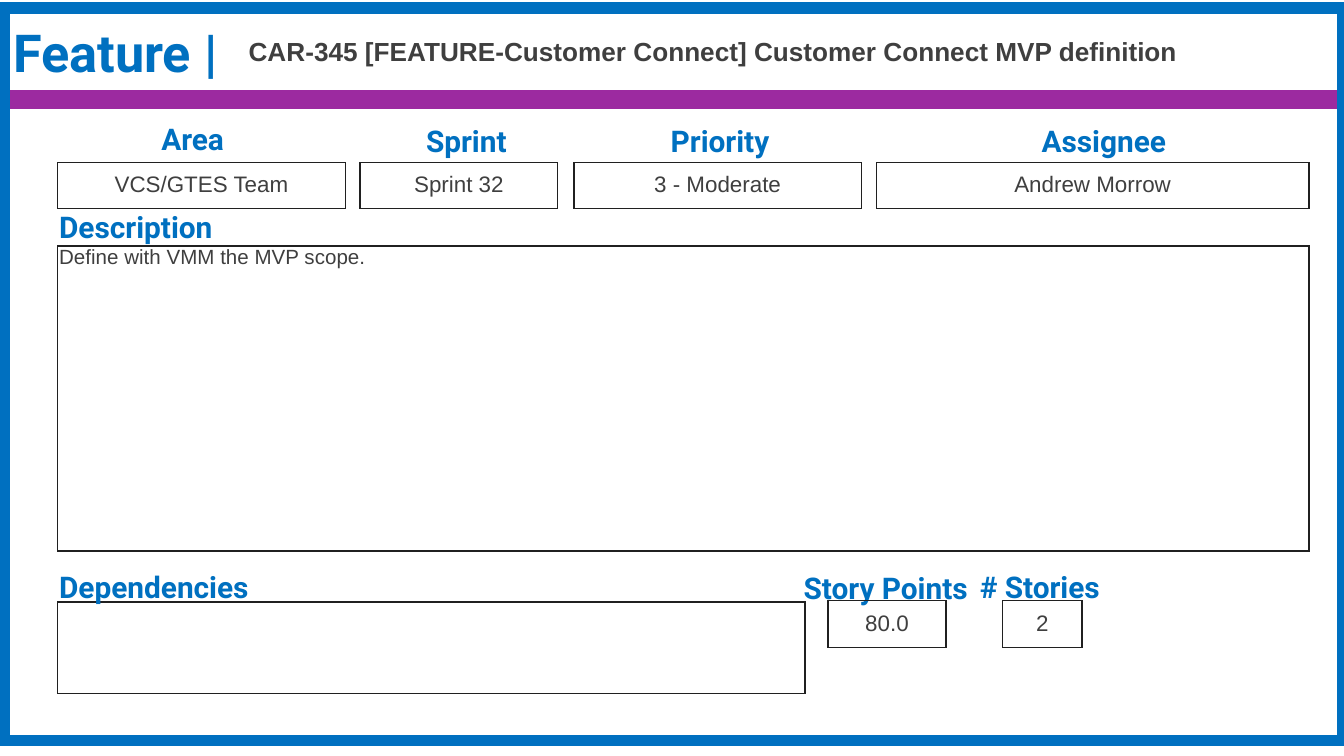
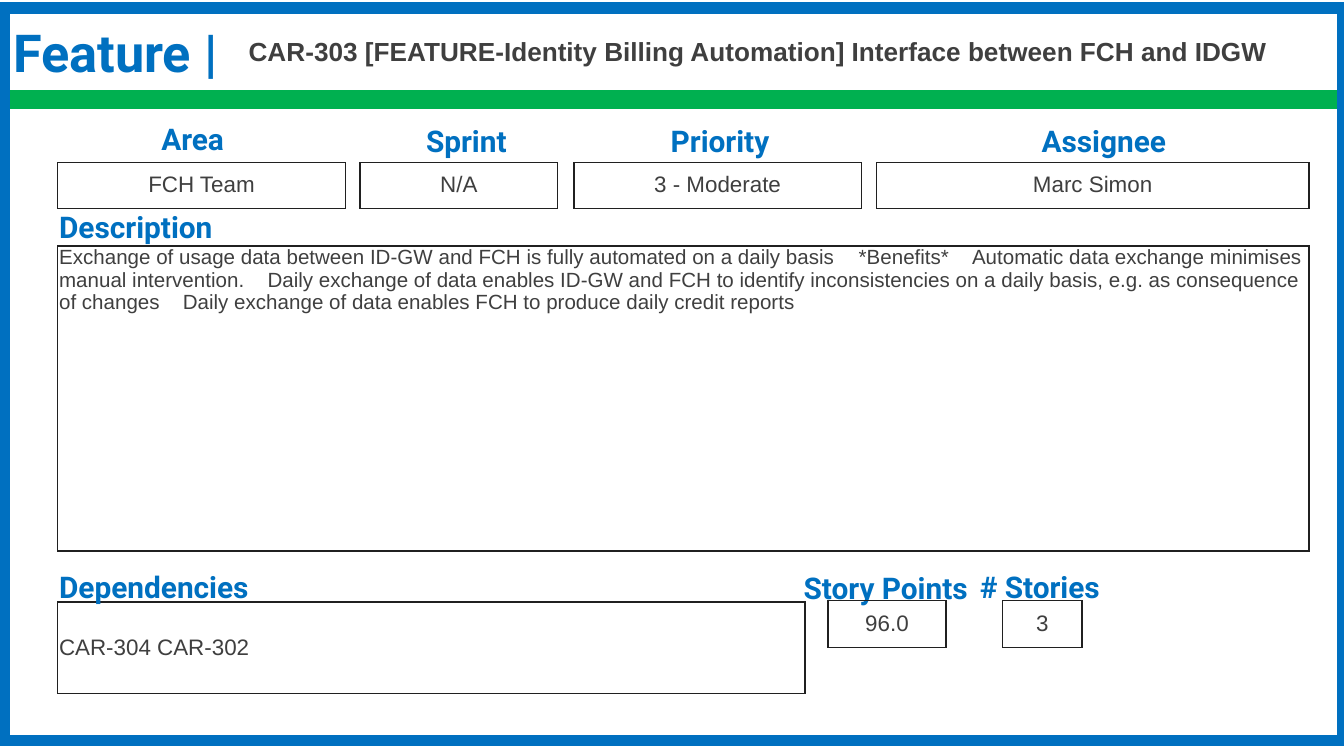
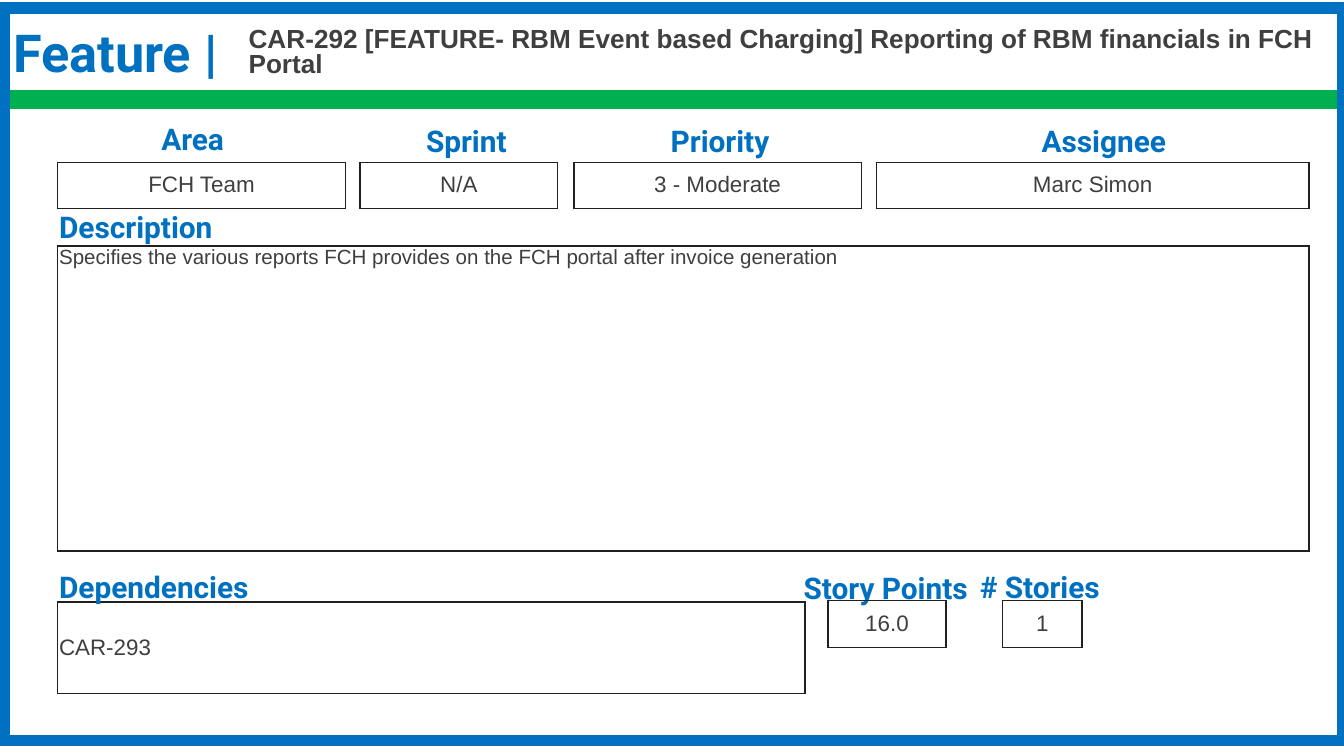
from dataclasses import dataclass

from lxml.etree import SubElement
from pptx import Presentation
from pptx.dml.color import RGBColor
from pptx.enum.shapes import MSO_SHAPE as SHAPE
from pptx.enum.text import MSO_ANCHOR as ANCHOR, PP_ALIGN as ALIGN
from pptx.oxml.ns import qn
from pptx.util import Inches, Pt

BLUE = RGBColor(0x00, 0x70, 0xC0)
PURPLE = RGBColor(0x9C, 0x2A, 0xA0)
GREEN = RGBColor(0x00, 0xB0, 0x50)
GREY = RGBColor(0x3F, 0x3F, 0x3F)
BLACK = RGBColor(0x20, 0x20, 0x20)

HEADING_FONT = "Roboto"
BODY_FONT = "Arial"
GAP_SPACING = "920"

ROW_TOP, ROW_HEIGHT = 1.21, 0.34
COUNT_TOP, COUNT_HEIGHT = 4.47, 0.35
LEFT = 0.43


@dataclass
class Feature:
    """Content of one feature card; the description is a list of statements."""
    headline: str
    band: RGBColor
    area: str
    sprint: str
    assignee: str
    description: list[str]
    dependencies: str
    points: str
    stories: str
    priority: str = "3 - Moderate"


FEATURES = [
    Feature("CAR-345 [FEATURE-Customer Connect] Customer Connect MVP definition",
            PURPLE, "VCS/GTES Team", "Sprint 32", "Andrew Morrow",
            ["Define with VMM the MVP scope."], "", "80.0", "2"),
    Feature("CAR-303 [FEATURE-Identity Billing Automation] Interface between FCH and IDGW",
            GREEN, "FCH Team", "N/A", "Marc Simon",
            ["Exchange of usage data between ID-GW and FCH is fully automated on a daily basis",
             "*Benefits*",
             "Automatic data exchange minimises manual intervention.",
             "Daily exchange of data enables ID-GW and FCH to identify inconsistencies "
             "on a daily basis, e.g. as consequence of changes",
             "Daily exchange of data enables FCH to produce daily credit reports"],
            "CAR-304 CAR-302", "96.0", "3"),
    Feature("CAR-292 [FEATURE- RBM Event based Charging] Reporting of RBM financials in FCH Portal",
            GREEN, "FCH Team", "N/A", "Marc Simon",
            ["Specifies the various reports FCH provides on the FCH portal after invoice generation"],
            "CAR-293", "16.0", "1"),
]


def add_run(p, text):
    """Append a run to a paragraph."""
    r = p.add_run()
    r.text = text
    return r


def write(sp, parts, size, font, color, bold=False, spacing=1.0,
          align=ALIGN.LEFT, anchor=ANCHOR.TOP, insets=(0, 0)):
    """Put one paragraph into a shape, with a wide space between its parts."""
    tf = sp.text_frame
    tf.word_wrap = True
    tf.vertical_anchor = anchor
    tf.margin_left = tf.margin_right = Inches(insets[0])
    tf.margin_top = tf.margin_bottom = Inches(insets[1])
    p = tf.paragraphs[0]
    for i, part in enumerate(parts):
        if i:
            gap = add_run(p, " ")
            gap._r.get_or_add_rPr().set("spc", GAP_SPACING)
        add_run(p, part)
    p.alignment = align
    p.line_spacing = spacing
    p.font.size = Pt(size)
    p.font.name = font
    p.font.bold = bold
    p.font.color.rgb = color


def add_text(s, box, text, size, font, color, **style):
    """Add bold text in a text box."""
    sp = s.shapes.add_textbox(*map(Inches, box))
    write(sp, [text], size, font, color, bold=True, **style)


def add_label(s, left, top, text, width=1.58):
    """Add a blue field label."""
    add_text(s, (left, top, width, 0.16), text, 16, HEADING_FONT, BLUE)


def add_rect(s, box, fill=None, line=None, weight=0.75):
    """Add a rectangle with an optional fill and a sharp-cornered outline."""
    sp = s.shapes.add_shape(SHAPE.RECTANGLE, *map(Inches, box))
    sp.shadow.inherit = False
    if fill is None:
        sp.fill.background()
    else:
        sp.fill.solid()
        sp.fill.fore_color.rgb = fill
    if line is None:
        sp.line.fill.background()
    else:
        sp.line.color.rgb = line
        sp.line.width = Pt(weight)
        ln = sp.element.spPr.find(qn("a:ln"))
        SubElement(ln, qn("a:miter"), lim="800000")
    return sp


def add_field(s, box, parts, size=12, align=ALIGN.CENTER, anchor=ANCHOR.MIDDLE):
    """Add an outlined value box."""
    sp = add_rect(s, box, line=BLACK)
    write(sp, parts, size, BODY_FONT, GREY, spacing=0.9, align=align,
          anchor=anchor, insets=(0.01, 0.01))


def add_header(s, headline):
    """Add the slide title and the feature headline."""
    add_text(s, (0, 0.19, 1.79, 0.28), "Feature |", 28, HEADING_FONT, BLUE,
             spacing=0.8, insets=(0.1, 0.05))
    add_text(s, (1.85, 0.12, 8.07, 0.56), headline, 14, BODY_FONT, GREY,
             spacing=0.8, anchor=ANCHOR.MIDDLE)


def add_card(prs, feature):
    """Build one feature slide."""
    s = prs.slides.add_slide(prs.slide_layouts[6])
    add_header(s, feature.headline)

    add_field(s, (LEFT, 1.83, 9.31, 2.27), feature.description, 11,
              ALIGN.LEFT, ANCHOR.TOP)
    dependencies = [feature.dependencies] if feature.dependencies else []
    add_field(s, (LEFT, 4.48, 5.56, 0.68), dependencies, align=ALIGN.LEFT)
    add_label(s, 0.44, 1.55, "Description", width=4.65)
    add_label(s, 0.44, 4.23, "Dependencies")

    row, count = (ROW_TOP, ROW_HEIGHT), (COUNT_TOP, COUNT_HEIGHT)
    for label, label_left, label_top, left, width, (top, height), value in [
            ("Area", 1.2, 0.9, LEFT, 2.14, row, feature.area),
            ("Sprint", 3.17, 0.91, 2.68, 1.47, row, feature.sprint),
            ("Priority", 4.99, 0.91, 4.27, 2.14, row, feature.priority),
            ("Assignee", 7.75, 0.91, 6.52, 3.22, row, feature.assignee),
            ("Story Points", 5.98, 4.24, 6.16, 0.88, count, feature.points),
            ("# Stories", 7.29, 4.23, 7.46, 0.59, count, feature.stories)]:
        add_label(s, label_left, label_top, label)
        add_field(s, (left, top, width, height), [value])

    add_rect(s, (0.03, 0.67, 9.96, 0.14), fill=feature.band)
    add_rect(s, (0.03, 0.06, 9.96, 5.45), line=BLUE, weight=6)


def main():
    """Build and save the feature cards on 16:9 slides."""
    prs = Presentation()
    prs.slide_width = Inches(10)
    prs.slide_height = prs.slide_width * 9 // 16
    for feature in FEATURES:
        add_card(prs, feature)
    prs.save("out.pptx")


if __name__ == "__main__":
    main()
